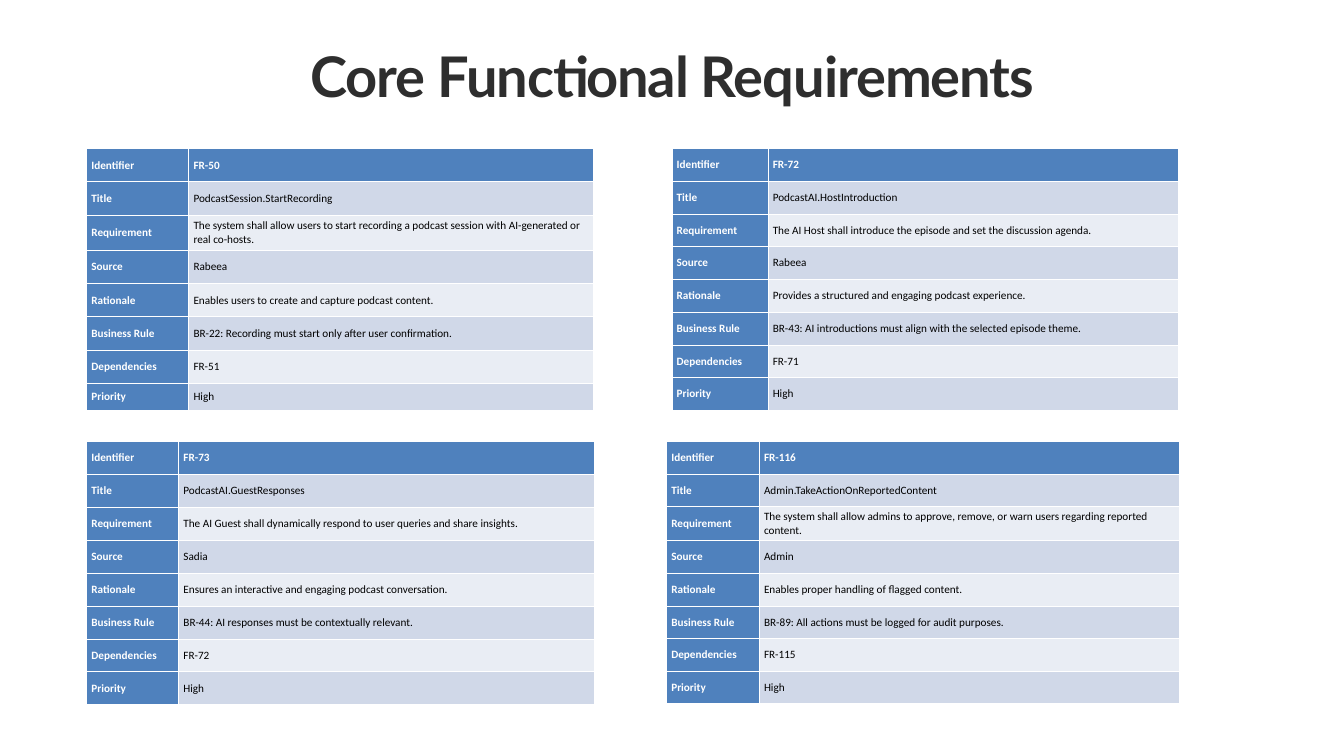
"""Build a slide of four core functional requirement tables."""
import pptx
import pptx.util
import pptx.dml.color
import pptx.enum.text

Pt = pptx.util.Pt
RGB = pptx.dml.color.RGBColor
BLUE = RGB(0x4F, 0x81, 0xBD)
BAND = RGB(0xD0, 0xD8, 0xE8)
PALE = RGB(0xE9, 0xED, 0xF4)
WHITE = RGB(0xFF, 0xFF, 0xFF)
BLACK = RGB(0x00, 0x00, 0x00)
DARK = RGB(0x2E, 0x2E, 0x2E)

deck = pptx.Presentation()
deck.slide_width = pptx.util.Inches(20)
deck.slide_height = pptx.util.Inches(11.25)
COL = deck.slide_width / 200
ROW = deck.slide_height / 112.5


def cols(count):
    return round(count * COL)


def rows(count):
    return round(count * ROW)


LABELS = ["Identifier", "Title", "Requirement", "Source", "Rationale",
          "Business Rule", "Dependencies", "Priority"]
TABLES = [
    (12.9, 22.1, 15.2, 60.2, 39, {2: 5.2, 7: 4}, [
        "FR-50", "PodcastSession.StartRecording",
        "The system shall allow users to start recording a podcast session "
        "with AI-generated or real co-hosts.",
        "Rabeea", "Enables users to create and capture podcast content.",
        "BR-22: Recording must start only after user confirmation.",
        "FR-51", "High"]),
    (100, 22.1, 14.3, 61.1, 39, {}, [
        "FR-72", "PodcastAI.HostIntroduction",
        "The AI Host shall introduce the episode and set the discussion agenda.",
        "Rabeea", "Provides a structured and engaging podcast experience.",
        "BR-43: AI introductions must align with the selected episode theme.",
        "FR-71", "High"]),
    (12.9, 65.7, 13.7, 61.8, 39.2, {}, [
        "FR-73", "PodcastAI.GuestResponses",
        "The AI Guest shall dynamically respond to user queries and share insights.",
        "Sadia", "Ensures an interactive and engaging podcast conversation.",
        "BR-44: AI responses must be contextually relevant.",
        "FR-72", "High"]),
    (99.2, 65.7, 13.8, 62.5, 39, {2: 5.1}, [
        "FR-116", "Admin.TakeActionOnReportedContent",
        "The system shall allow admins to approve, remove, or warn users "
        "regarding reported content.",
        "Admin", "Enables proper handling of flagged content.",
        "BR-89: All actions must be logged for audit purposes.",
        "FR-115", "High"]),
]

slide = deck.slides.add_slide(deck.slide_layouts[5])
title = slide.shapes.title
title.left, title.top = cols(31.4), rows(9.5)
title.width, title.height = cols(137.3), rows(6.8)
frame = title.text_frame
frame.text = "Core Functional Requirements"
frame.margin_left = frame.margin_right = frame.margin_top = frame.margin_bottom = 0
frame.vertical_anchor = pptx.enum.text.MSO_ANCHOR.TOP
frame.auto_size = pptx.enum.text.MSO_AUTO_SIZE.SHAPE_TO_FIT_TEXT
head = frame.paragraphs[0]
head.alignment = pptx.enum.text.PP_ALIGN.CENTER
head.line_spacing = Pt(47.6)
head.space_before = Pt(0)
head.font.name, head.font.size, head.font.bold = "Lato", Pt(60), True
head.font.color.rgb = DARK
head.runs[0]._r.get_or_add_rPr().set("spc", "-110")

for left, top, key, wide, high, odd, values in TABLES:
    grid = slide.shapes.add_table(len(LABELS), 2, cols(left), rows(top),
                                  cols(key + wide), rows(high)).table
    grid.first_col = True
    grid.columns[0].width, grid.columns[1].width = cols(key), cols(wide)
    even = (high - sum(odd.values())) / (len(LABELS) - len(odd))
    for r, pair in enumerate(zip(LABELS, values)):
        grid.rows[r].height = rows(odd.get(r, even))
        for c, text in enumerate(pair):
            label = r == 0 or c == 0
            cell = grid.cell(r, c)
            cell.text = text
            cell.vertical_anchor = pptx.enum.text.MSO_ANCHOR.MIDDLE
            cell.margin_left = cell.margin_right = cols(0.7)
            cell.margin_top = cell.margin_bottom = 0
            cell.fill.solid()
            cell.fill.fore_color.rgb = BLUE if label else BAND if r % 2 else PALE
            font = cell.text_frame.paragraphs[0].font
            font.name, font.size, font.bold = "Calibri", Pt(12), label
            font.color.rgb = WHITE if label else BLACK

deck.save("out.pptx")
